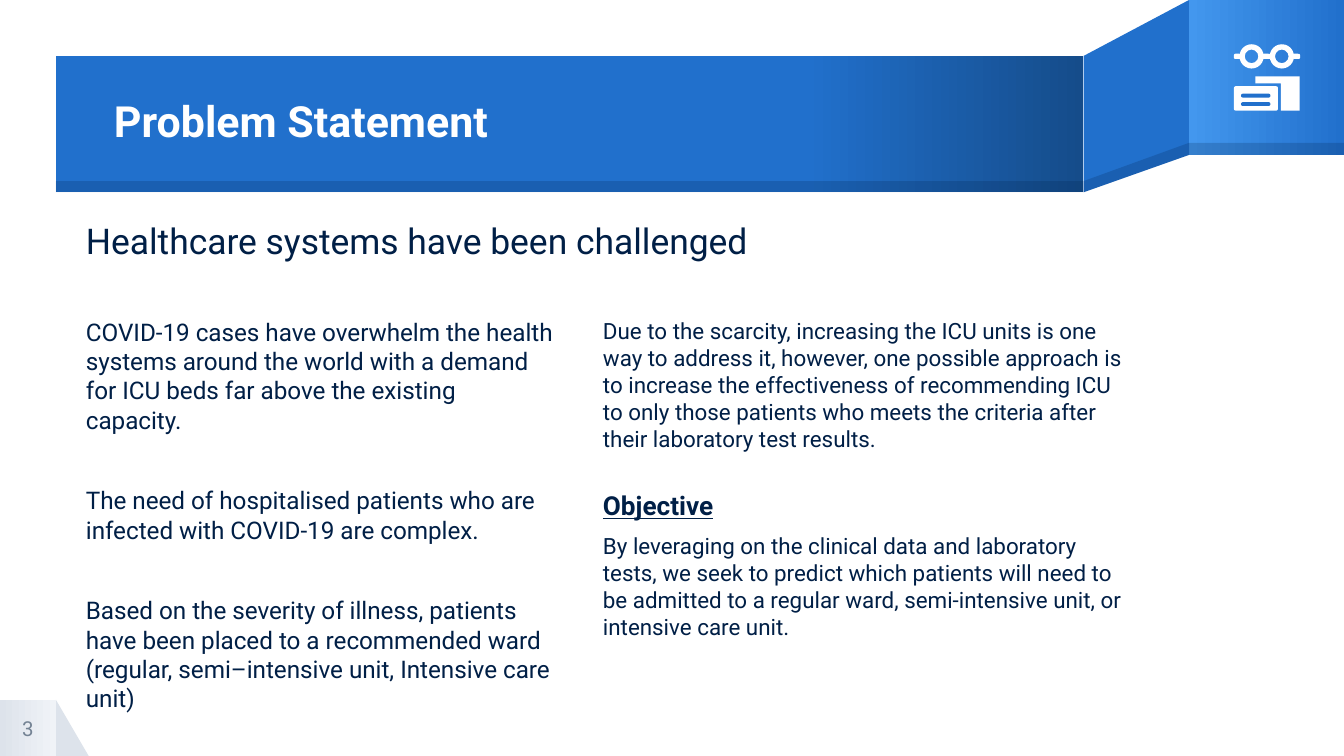
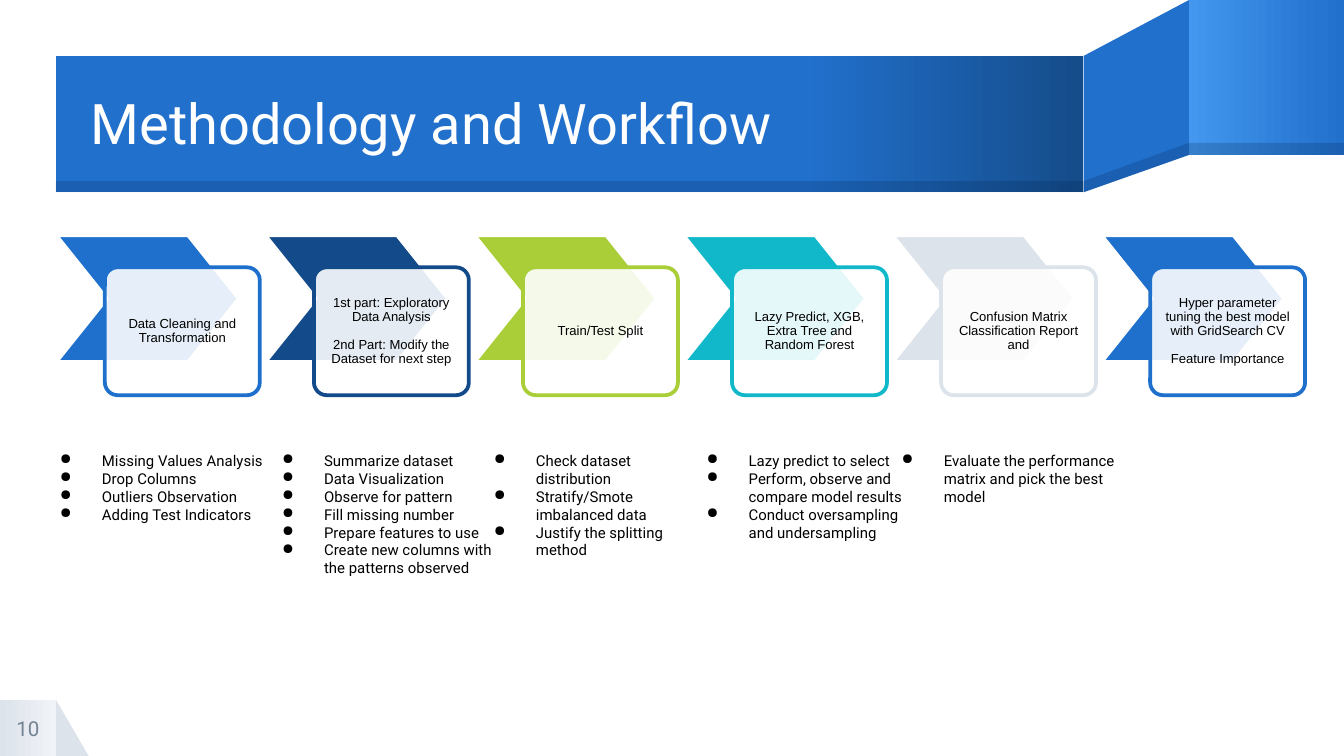
from lxml.etree import SubElement
from pptx import Presentation
from pptx.dml.color import RGBColor
from pptx.enum.shapes import MSO_SHAPE as SHAPE
from pptx.enum.text import MSO_ANCHOR as ANCHOR, MSO_AUTO_SIZE as AUTO, PP_ALIGN as ALIGN
from pptx.oxml.ns import qn
from pptx.util import Pt

BLUE = RGBColor(0x21, 0x70, 0xCC)
SKY = RGBColor(0x43, 0x97, 0xEE)
DEEP = RGBColor(0x15, 0x4C, 0x8A)
NAVY = RGBColor(0x00, 0x1F, 0x46)
PALE = RGBColor(0xDD, 0xE3, 0xEB)
MIST = RGBColor(0xF0, 0xF3, 0xF7)
SLATE = RGBColor(0x74, 0x83, 0x94)
WHITE = RGBColor(0xFF, 0xFF, 0xFF)
BLACK = RGBColor(0x00, 0x00, 0x00)
ROYAL = RGBColor(0x1E, 0x70, 0xCC)
DUSK = RGBColor(0x12, 0x4A, 0x8A)
LIME = RGBColor(0xA9, 0xCE, 0x38)
TEAL = RGBColor(0x11, 0xB8, 0xCA)

# Text formats: font settings, with colour under its own key
HEAD = {"name": "Roboto", "size": Pt(30), "color": WHITE}
LABEL = {**HEAD, "size": Pt(23), "bold": True}
LEAD = {**HEAD, "size": Pt(19), "color": NAVY}
BODY = {**LEAD, "size": Pt(13)}
NOTE = {**LEAD, "size": Pt(12)}
GOAL = {**LEAD, "size": Pt(14), "bold": True, "underline": True}
PAGE = {**HEAD, "size": Pt(11), "color": SLATE}
CARD = {"name": "Arial", "size": Pt(7), "color": BLACK}
ITEM = {"name": "Roboto", "size": Pt(8), "color": BLACK}

# Workflow: colour and card paragraphs of each step
STEPS = [
    (ROYAL, ["Data Cleaning and Transformation"]),
    (DUSK, ["1st part: Exploratory Data Analysis",
            "2nd Part: Modify the Dataset for next step"]),
    (LIME, ["Train/Test Split"]),
    (TEAL, ["Lazy Predict, XGB, Extra Tree and Random Forest"]),
    (PALE, ["Confusion Matrix\vClassification Report and"]),
    (ROYAL, ["Hyper parameter tuning the best model with GridSearch CV",
             "Feature Importance"]),
]
# Left edge, width and items of each list below the steps
LISTS = [
    (11.5, 145, ["Missing Values Analysis", "Drop Columns",
                 "Outliers Observation", "Adding Test Indicators"]),
    (130.5, 145, ["Summarize dataset", "Data Visualization",
                  "Observe for pattern", "Fill missing number",
                  "Prepare features to use",
                  "Create new columns with the patterns observed"]),
    (244, 132, ["Check dataset distribution", "Stratify/Smote imbalanced data",
                "Justify the splitting method"]),
    (358, 145, ["Lazy predict to select",
                "Perform, observe and compare model results",
                "Conduct oversampling and undersampling"]),
    (462.5, 145, ["Evaluate the performance matrix and pick the best model"]),
]


def apply(target, values):
    for key, value in values.items():
        setattr(target, key, value)


def place(shape, box):
    apply(shape, dict(zip(("left", "top", "width", "height"), map(Pt, box))))


# Fills
def paint(shape, color, alpha=None):
    shape.shadow.inherit = False
    shape.fill.solid()
    shape.fill.fore_color.rgb = color
    shape.line.fill.background()
    if alpha:
        tone = shape._element.spPr.find(qn("a:solidFill"))[0]
        SubElement(tone, qn("a:alpha"), val=str(alpha * 1000))


def blend(shape, stops):
    paint(shape, stops[0][1])
    shape.fill.gradient()
    shape.fill.gradient_angle = 0
    group = shape._element.spPr.find(".//" + qn("a:gsLst"))
    group.clear()
    for pos, color in stops:
        stop = SubElement(group, qn("a:gs"), pos=str(pos * 1000))
        SubElement(stop, qn("a:srgbClr"), val=str(color))


# Shapes
def block(slide, box, color, kind=SHAPE.RECTANGLE, adj=None, alpha=None):
    shape = slide.shapes.add_shape(kind, *map(Pt, box))
    if adj is not None:
        shape.adjustments[0] = adj
    paint(shape, color, alpha)
    return shape


def outline(slide, points, color, alpha=None):
    first, *rest = [(Pt(x), Pt(y)) for x, y in points]
    pen = slide.shapes.build_freeform(*first)
    pen.add_line_segments(rest, close=True)
    paint(pen.convert_to_shape(), color, alpha)


# Text
def frame(shape, inset=0, anchor=ANCHOR.TOP):
    text = shape.text_frame
    sides = ("left", "top", "right", "bottom")
    apply(text, {f"margin_{side}": Pt(inset) for side in sides})
    apply(text, {"word_wrap": True, "auto_size": AUTO.NONE,
                 "vertical_anchor": anchor})
    return text


def write(text, rows, align=ALIGN.LEFT, spacing=1.0, bullet=None):
    """Fill a text frame with rows of (words, format, space before)."""
    for i, (words, style, gap) in enumerate(rows):
        para = text.add_paragraph() if i else text.paragraphs[0]
        para.text = words
        apply(para, {"alignment": align, "line_spacing": spacing,
                     "space_before": Pt(gap), "space_after": Pt(0)})
        for run in para.runs:
            apply(run.font, {k: v for k, v in style.items() if k != "color"})
            run.font.color.rgb = style["color"]
        props = para._p.get_or_add_pPr()
        props.set("marL", str(Pt(36) if bullet else 0))
        props.set("indent", str(Pt(-22.5) if bullet else 0))
        if bullet:
            SubElement(props, qn("a:buChar"), char=bullet)
        else:
            SubElement(props, qn("a:buNone"))


def label(slide, box, rows, inset=0, anchor=ANCHOR.TOP, **layout):
    shape = slide.shapes.add_textbox(*map(Pt, box))
    write(frame(shape, inset, anchor), rows, **layout)


def fill_in(slide, holder, box, rows, anchor=ANCHOR.TOP, **layout):
    place(holder, box)
    write(frame(holder, 0, anchor), rows, **layout)
    slide.shapes._spTree.append(holder._element)  # in front of the band


# Shared decoration: page tab and folded ribbon
def ribbon(slide, page):
    block(slide, (30, 375, 17.5, 30), PALE, SHAPE.RIGHT_TRIANGLE)
    blend(block(slide, (0, 375, 30, 30), PALE), [(0, PALE), (100, MIST)])
    outline(slide, [(637, 0), (580.5, 30), (580.5, 103), (637, 83)], BLUE)
    blend(block(slide, (637, 0, 83, 83), SKY), [(0, SKY), (100, BLUE)])
    blend(block(slide, (30, 30, 550.5, 73), BLUE),
          [(0, BLUE), (73, BLUE), (100, DEEP)])
    outline(slide, [(637, 76.5), (580.5, 97), (580.5, 103), (637, 83)], NAVY, 20)
    block(slide, (637, 76.5, 83, 6.5), NAVY, alpha=20)
    block(slide, (30, 97, 550.5, 6), NAVY, alpha=20)
    label(slide, (0, 375, 30, 30), [(page, PAGE, 0)],
          anchor=ANCHOR.MIDDLE, align=ALIGN.CENTER)


# Reading icon: glasses above two books
def icon(slide):
    for left in (664, 680.2):
        block(slide, (left, 23.7, 13, 13), WHITE, SHAPE.DONUT, 0.22)
    for left, width in ((661, 4), (676.3, 4.6), (692.5, 4)):
        block(slide, (left, 28.8, width, 2.8), WHITE, SHAPE.ROUNDED_RECTANGLE, 0.3)
    outline(slide, [(672.5, 41), (696.2, 41), (696.2, 59.3), (686.2, 59.3),
                    (686.2, 44.7), (672.5, 44.7)], WHITE)
    block(slide, (661, 46.2, 23.6, 13.1), WHITE, SHAPE.ROUNDED_RECTANGLE, 0.08)
    for top in (50.2, 54.7):
        block(slide, (664.8, top, 15.8, 2.1), BLUE, SHAPE.ROUNDED_RECTANGLE, 0.5)


# One step: chevron with a card over it
def step(slide, left, color, words):
    arrow = block(slide, (left, 126, 98, 68), color, SHAPE.CHEVRON, 0.4)
    card = block(slide, (left + 26.2, 143.2, 83, 68.5), WHITE,
                 SHAPE.ROUNDED_RECTANGLE, 0.1, 89)
    for shape, edge in ((arrow, WHITE), (card, color)):
        shape.line.color.rgb = edge
        shape.line.width = Pt(2)
    rows = [(line, CARD, 7.5 if i else 0) for i, line in enumerate(words)]
    write(frame(card, 4, ANCHOR.MIDDLE), rows, ALIGN.CENTER, 0.9)


def problem(deck):
    slide = deck.slides.add_slide(deck.slide_layouts[3])
    title, left, right = slide.placeholders
    ribbon(slide, "3")
    fill_in(slide, title, (46, 93.5, 532, 73),
            [("Healthcare systems have been challenged", LEAD, 0)],
            ANCHOR.MIDDLE, spacing=0.9)
    fill_in(slide, right, (323, 170, 284, 245), [
        ("Due to the scarcity, increasing the ICU units is one way to address "
         "it, however, one possible approach is to increase the effectiveness "
         "of recommending ICU to only those patients who meets the criteria "
         "after their laboratory test results.", NOTE, 0),
        ("Objective", GOAL, 20.3),
        ("By leveraging on the clinical data and laboratory tests, we seek to "
         "predict which patients will need to be admitted to a regular ward, "
         "semi-intensive unit, or intensive care unit.", NOTE, 6)])
    fill_in(slide, left, (46, 170, 251, 214), [
        ("COVID-19 cases have overwhelm the health systems around the world "
         "with a demand for ICU beds far above the existing capacity.", BODY, 0),
        ("The need of hospitalised patients who are infected with COVID-19 "
         "are complex.", BODY, 27.7),
        ("Based on the severity of illness, patients have been placed to a "
         "recommended ward (regular, semi–intensive unit, Intensive care "
         "unit)", BODY, 27.7)])
    icon(slide)
    label(slide, (54, 43, 429, 42.5), [("Problem Statement", LABEL, 0)],
          7.2, ANCHOR.MIDDLE)


def method(deck):
    slide = deck.slides.add_slide(deck.slide_layouts[5])
    ribbon(slide, "10")
    fill_in(slide, slide.shapes.title, (48.5, 31, 532, 73),
            [("Methodology and Workflow", HEAD, 0)], ANCHOR.MIDDLE, spacing=0.9)
    for i, (color, words) in enumerate(STEPS):
        step(slide, 30 + 112 * i, color, words)
    for left, width, items in LISTS:
        label(slide, (left, 234.7, width, 14.4 + 9.5 * len(items)),
              [(item, ITEM, 0) for item in items], 7.2, bullet="●")


def main():
    deck = Presentation()
    apply(deck, {"slide_width": Pt(720), "slide_height": Pt(405)})
    problem(deck)
    method(deck)
    deck.save("out.pptx")


if __name__ == "__main__":
    main()
